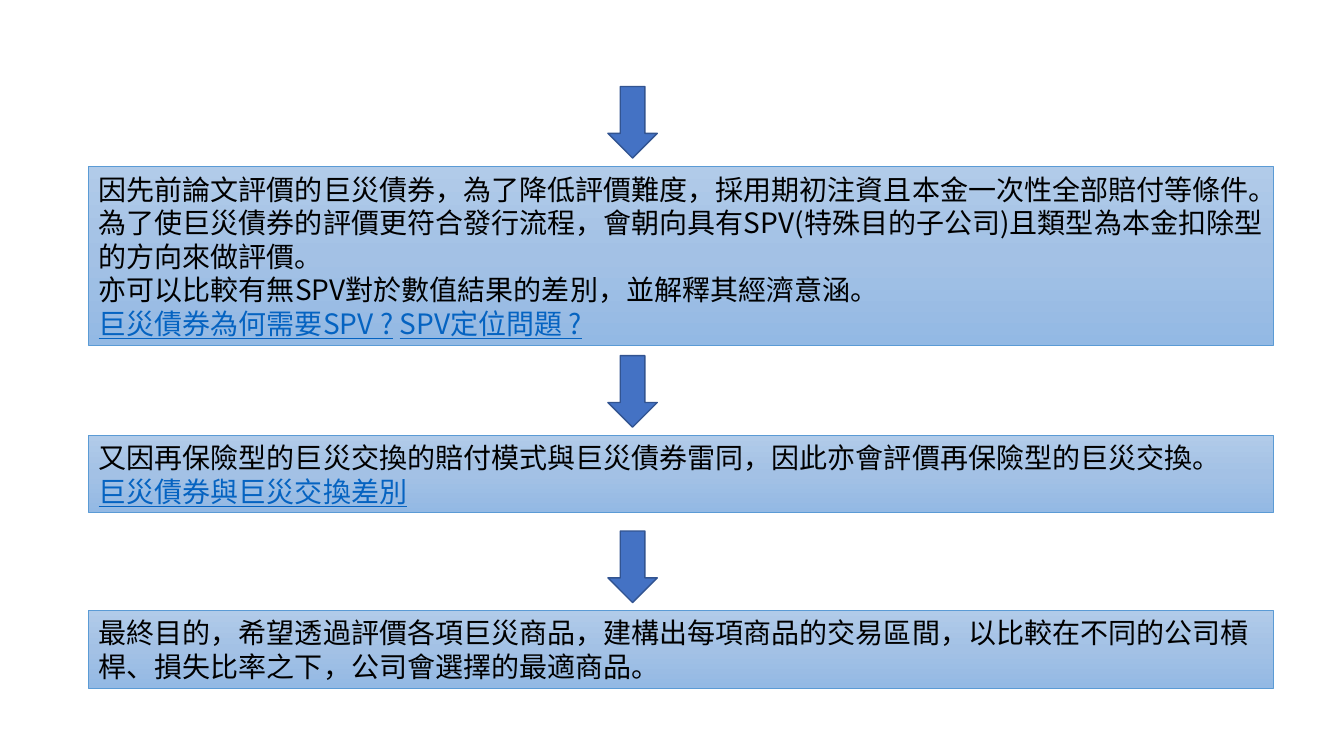
from copy import deepcopy

from lxml import etree
from pptx import Presentation
from pptx.dml.color import RGBColor
from pptx.enum.shapes import MSO_SHAPE
from pptx.enum.text import MSO_ANCHOR, PP_ALIGN
from pptx.oxml.ns import qn
from pptx.util import Pt

RECT, DOWN_ARROW = MSO_SHAPE.RECTANGLE, MSO_SHAPE.DOWN_ARROW
LEFT, MIDDLE = PP_ALIGN.LEFT, MSO_ANCHOR.MIDDLE

FONT = "Noto Sans CJK SC"
COLORS = {"text": "000000", "link": "0563C1", "gap": "C00000",
          "arrow": "4472C4", "arrow_line": "325491", "box_line": "5B9BD5",
          "top": "B1CBE9", "middle": "A3C1E5", "bottom": "93B9E4"}

# Steps: top, height, paragraphs of (text, colour) runs
STEPS = [
    (118.8, 128.2, [
        [("因先前論文評價的巨災債券，為了降低評價難度，採用期初注資且本金一次性全部賠付等條件。"
          "為了使巨災債券的評價更符合發行流程，會朝向具有SPV(特殊目的子公司)且類型為本金扣除型的方向來做評價。", "text")],
        [("亦可以比較有無SPV對於數值結果的差別，並解釋其經濟意涵。", "text")],
        [("巨災債券為何需要SPV ?", "link"), (" ", "gap"), ("SPV定位問題 ?", "link")],
    ]),
    (311, 55.4, [
        [("又因再保險型的巨災交換的賠付模式與巨災債券雷同，因此亦會評價再保險型的巨災交換。", "text")],
        [("巨災債券與巨災交換差別", "link")],
    ]),
    (436.3, 55.4, [
        [("最終目的，希望透過評價各項巨災商品，建構出每項商品的交易區間，"
          "以比較在不同的公司槓桿、損失比率之下，公司會選擇的最適商品。", "text")],
    ]),
]
BOX_LEFT, BOX_WIDTH = 63.4, 846
ARROW_LEFT, ARROW_WIDTH, ARROW_HEIGHT = 434.2, 35.3, 51.1
ARROW_RISE = 57  # from arrow top to box top


def rgb(name):
    return RGBColor.from_string(COLORS[name])


def add_shape(kind, left, top, width, height, line, line_width):
    s = slide.shapes.add_shape(kind, Pt(left), Pt(top), Pt(width), Pt(height))
    s.shadow.inherit = False
    s.line.color.rgb = rgb(line)
    s.line.width = Pt(line_width)
    return s


def fill_gradient(s):
    s.fill.gradient()
    s.fill.gradient_angle = 270
    stop_list = s._element.spPr.find(qn("a:gradFill")).find(qn("a:gsLst"))
    stop_list.insert(1, deepcopy(stop_list[0]))
    stops = zip(s.fill.gradient_stops, ("top", "middle", "bottom"), (0, 0.5, 1))
    for stop, color, position in stops:
        stop.color.rgb = rgb(color)
        stop.position = position


def write_text(tf, paragraphs):
    tf.word_wrap = True
    tf.vertical_anchor = MIDDLE
    for i, runs in enumerate(paragraphs):
        p = tf.add_paragraph() if i else tf.paragraphs[0]
        p.alignment = LEFT
        p.line_spacing = Pt(24)
        for text, color in runs:
            r = p.add_run()
            r.text = text
            r.font.size = Pt(20)
            r.font.name = FONT
            r.font.color.rgb = rgb(color)
            r.font.underline = color == "link"
            etree.SubElement(r.font._element, qn("a:ea"), typeface=FONT)


prs = Presentation()
prs.slide_width, prs.slide_height = Pt(960), Pt(540)
slide = prs.slides.add_slide(prs.slide_layouts[6])

# Each step: an arrow leading down into a text box
for top, height, paragraphs in STEPS:
    arrow = add_shape(DOWN_ARROW, ARROW_LEFT, top - ARROW_RISE,
                      ARROW_WIDTH, ARROW_HEIGHT, "arrow_line", 1)
    arrow.fill.solid()
    arrow.fill.fore_color.rgb = rgb("arrow")

    box = add_shape(RECT, BOX_LEFT, top, BOX_WIDTH, height, "box_line", 0.5)
    fill_gradient(box)
    write_text(box.text_frame, paragraphs)

prs.save("out.pptx")
